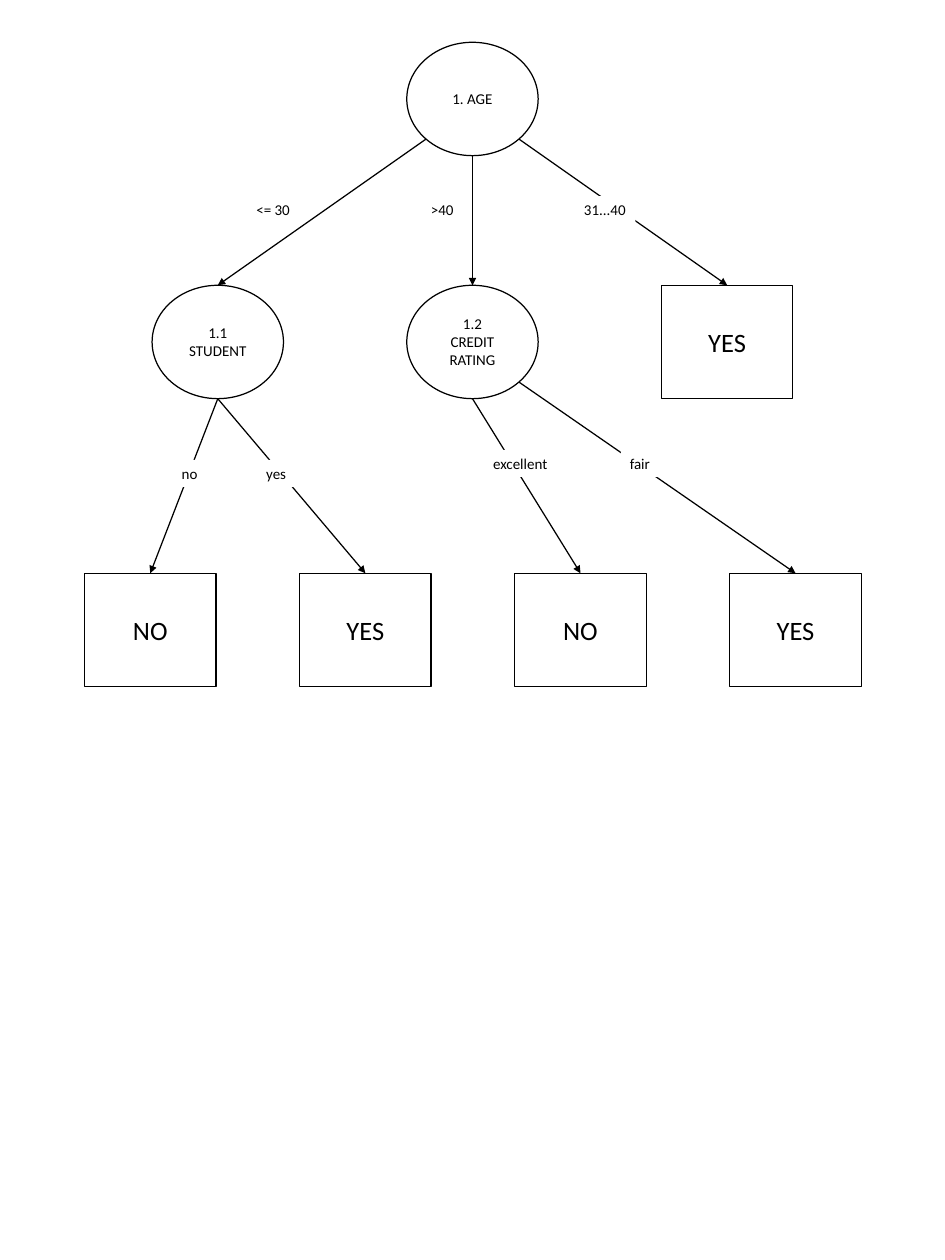
import math
from dataclasses import dataclass

import pptx
import pptx.dml.color
import pptx.enum.shapes
import pptx.enum.text
import pptx.oxml
import pptx.oxml.ns
import pptx.util

PX = 9144  # EMU per px, at 100 px to the inch
NODE_W, NODE_H = 146, 126
LABEL_H = 30


@dataclass(frozen=True)
class Theme:
    font: str = "Calibri"
    ink: pptx.dml.color.RGBColor = pptx.dml.color.RGBColor(0, 0, 0)
    paper: pptx.dml.color.RGBColor = pptx.dml.color.RGBColor(255, 255, 255)
    small: float = 12
    large: float = 21.2
    line: float = 1


THEME = Theme()

# Tree levels: top edge, and the centres of the nodes across
TOPS = (47, 317, 637)
CENTRES = ((525,), (242, 525, 808), (167, 406, 645, 884))

# Level, column, text
TESTS = ((0, 0, "1. AGE"), (1, 1, "1.2 CREDIT RATING"), (1, 0, "1.1 STUDENT"))
RESULTS = ((1, 2, "YES"), (2, 0, "NO"), (2, 1, "YES"), (2, 2, "NO"), (2, 3, "YES"))

# Parent, child, side of the parent's lower edge (-1 left, 0 middle, 1 right)
BRANCHES = (
    ((0, 0), (1, 0), -1), ((0, 0), (1, 1), 0), ((0, 0), (1, 2), 1),
    ((1, 0), (2, 0), 0), ((1, 0), (2, 1), 0),
    ((1, 1), (2, 2), 0), ((1, 1), (2, 3), 1),
)

# Left, top, width, text
LABELS = (
    (469, 218, 46, ">40"), (275, 218, 58, "<= 30"), (639, 218, 67, "31...40"),
    (286, 511, 43, "yes"), (192, 511, 38, "no"),
    (538, 500, 81, "excellent"), (690, 500, 43, "fair"),
)


def px(*lengths):
    return [pptx.util.Emu(round(n * PX)) for n in lengths]


def set_text(tf, text, size):
    tf.text = text
    font = tf.paragraphs[0].runs[0].font
    font.name = THEME.font
    font.size = pptx.util.Pt(size)
    font.color.rgb = THEME.ink


def set_line(line):
    line.color.rgb = THEME.ink
    line.width = pptx.util.Pt(THEME.line)


def set_fill(s):
    s.fill.solid()
    s.fill.fore_color.rgb = THEME.paper


def exit_point(level, column, side):
    """Point on the lower edge of a test's ellipse."""
    angle = side * math.pi / 4
    x = CENTRES[level][column] + NODE_W / 2 * math.sin(angle)
    y = TOPS[level] + NODE_H / 2 * (1 + math.cos(angle))
    return x, y


def add_branch(slide, parent, child, side):
    level, column = child
    start = exit_point(*parent, side)
    end = (CENTRES[level][column], TOPS[level])
    s = slide.shapes.add_connector(
        pptx.enum.shapes.MSO_CONNECTOR.STRAIGHT, *px(*start, *end))
    set_line(s.line)
    tail = pptx.oxml.ns.qn("a:tailEnd")
    s.line._get_or_add_ln().append(pptx.oxml.xmlchemy.OxmlElement("a:tailEnd"))
    s.line._get_or_add_ln().find(tail).set("type", "triangle")
    s._element.spPr.append(pptx.oxml.xmlchemy.OxmlElement("a:effectLst"))


def add_label(slide, left, top, width, text):
    s = slide.shapes.add_textbox(*px(left, top, width, LABEL_H))
    set_fill(s)
    tf = s.text_frame
    tf.word_wrap = False
    tf.auto_size = pptx.enum.text.MSO_AUTO_SIZE.SHAPE_TO_FIT_TEXT
    set_text(tf, text, THEME.small)


def add_node(slide, kind, level, column, text, size):
    left = CENTRES[level][column] - NODE_W / 2
    s = slide.shapes.add_shape(kind, *px(left, TOPS[level], NODE_W, NODE_H))
    s.shadow.inherit = False
    set_fill(s)
    set_line(s.line)
    tf = s.text_frame
    tf.word_wrap = True
    tf.vertical_anchor = pptx.enum.text.MSO_ANCHOR.MIDDLE
    set_text(tf, text, size)
    tf.paragraphs[0].alignment = pptx.enum.text.PP_ALIGN.CENTER
    return s


def add_test(slide, level, column, text):
    s = add_node(slide, pptx.enum.shapes.MSO_SHAPE.OVAL, level, column, text, THEME.small)
    tf = s.text_frame
    tf.margin_left, tf.margin_top, tf.margin_right, tf.margin_bottom = px(19, 9, 19, 9)


def add_result(slide, level, column, text):
    add_node(slide, pptx.enum.shapes.MSO_SHAPE.RECTANGLE, level, column, text, THEME.large)


def main():
    prs = pptx.Presentation()
    prs.slide_width, prs.slide_height = px(1050, 1400)
    slide = prs.slides.add_slide(prs.slide_layouts[6])

    # Branches lie under the labels and nodes
    for branch in BRANCHES:
        add_branch(slide, *branch)
    for label in LABELS:
        add_label(slide, *label)

    # Tests are ellipses, results are boxes
    for test in TESTS:
        add_test(slide, *test)
    for result in RESULTS:
        add_result(slide, *result)

    prs.save("out.pptx")


if __name__ == "__main__":
    main()
